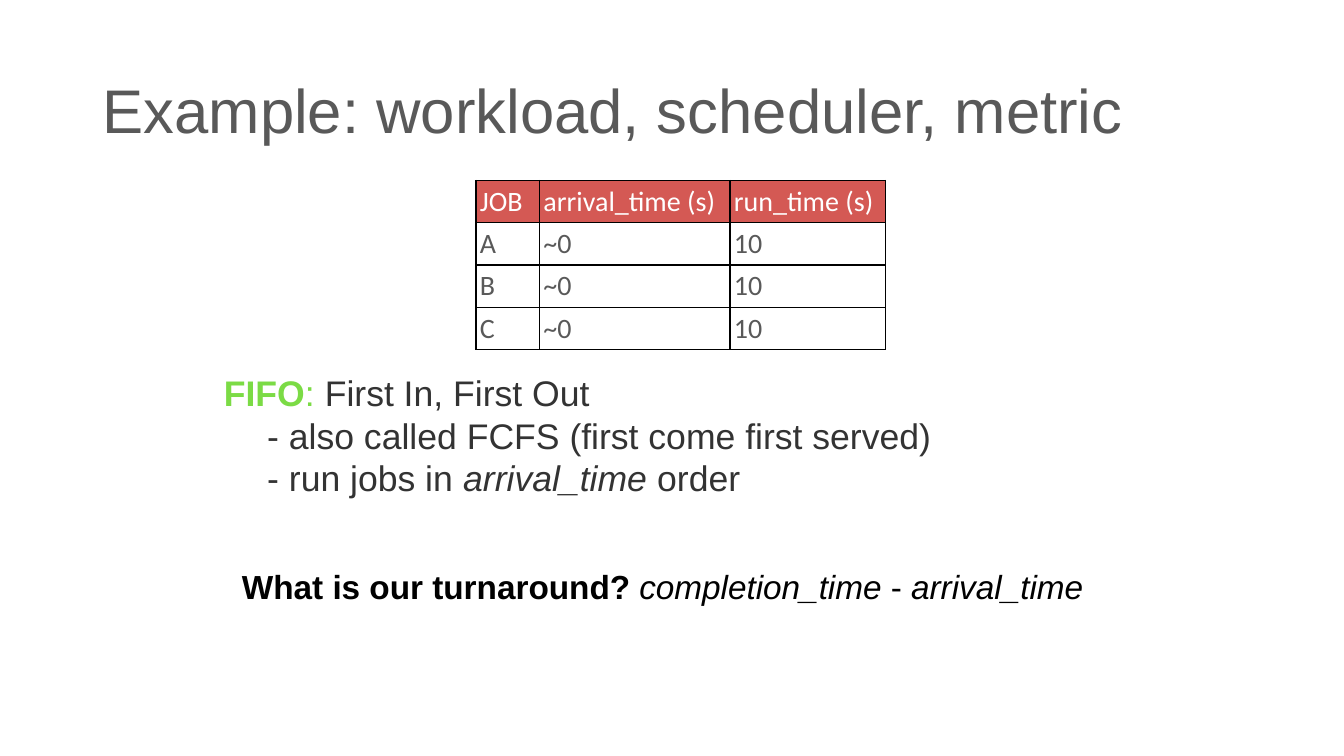
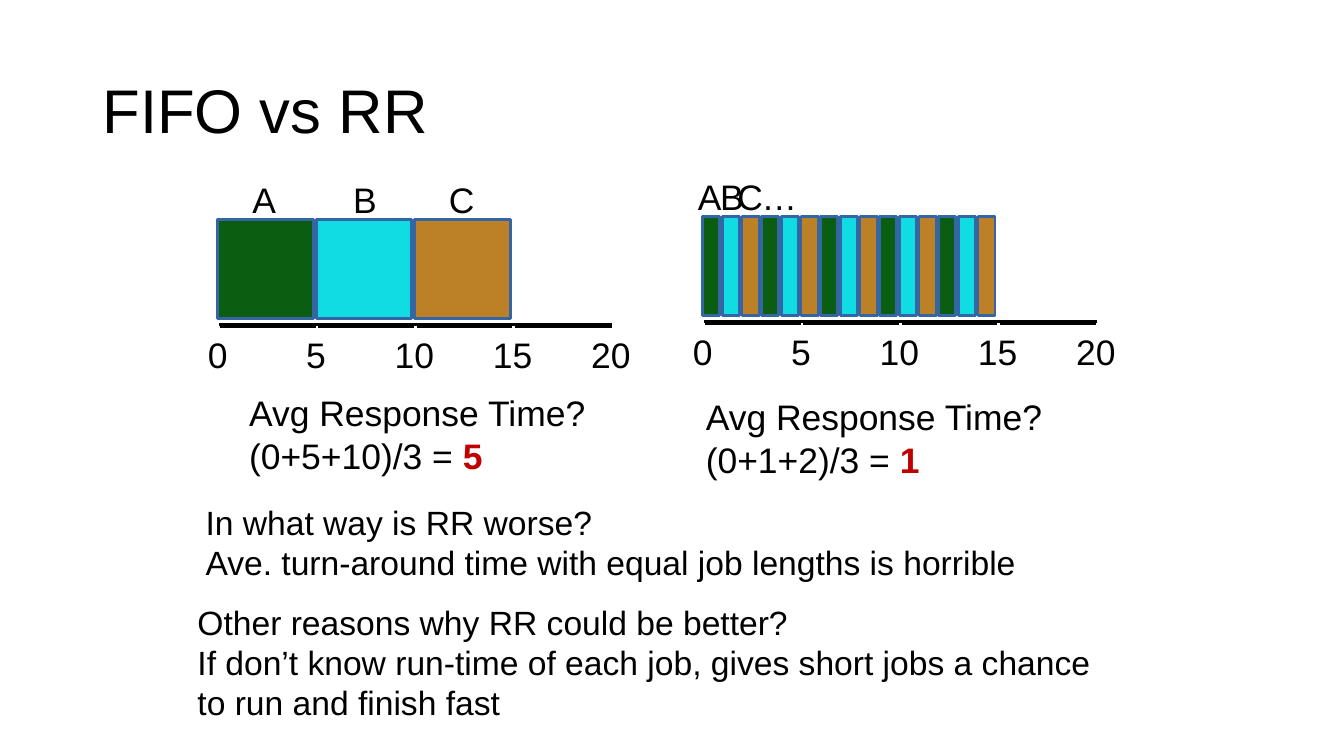
from dataclasses import dataclass

from lxml.etree import SubElement
from pptx import Presentation
from pptx.dml.color import RGBColor
from pptx.enum.shapes import MSO_CONNECTOR, MSO_SHAPE
from pptx.enum.text import MSO_ANCHOR, PP_ALIGN
from pptx.oxml.ns import qn
from pptx.slide import Slide
from pptx.util import Inches, Pt

HUES = {
    "black": "000000", "white": "FFFFFF", "grey": "595959", "dark": "333333",
    "lime": "7BDB45", "red": "C00000", "head": "D45954", "edge": "3465A4",
    "A": "0B5D12", "B": "11DBE3", "C": "BC8027",
}
FACE = "Arial"
LABEL = 25.3
STEP = 0.975
TIGHT = (0.04, 0.04)


@dataclass
class Run:
    text: str
    bold: bool = False
    slant: bool = False
    hue: str = ""


@dataclass
class Para:
    runs: list[Run]
    indent: float = 0


@dataclass
class Box:
    left: float
    top: float
    width: float
    height: float


@dataclass
class Chart:
    left: float
    top: float
    slots: int
    pitch: float
    ticks: int
    names: dict[str, float]


def rgb(hue: str) -> RGBColor:
    return RGBColor.from_string(HUES[hue])


def place(box: Box) -> tuple[int, int, int, int]:
    return Inches(box.left), Inches(box.top), Inches(box.width), Inches(box.height)


def plain(text: str) -> Para:
    return Para([Run(text)])


def write(slide: Slide, box: Box, paras: list[Para], size: float, hue: str = "black",
          inset: tuple[float, float] = (0.1, 0.05), middle: bool = False,
          center: bool = False, wrap: bool = True, space: float = 1) -> None:
    frame = slide.shapes.add_textbox(*place(box)).text_frame
    frame.word_wrap = wrap
    frame.margin_left = frame.margin_right = Inches(inset[0])
    frame.margin_top = frame.margin_bottom = Inches(inset[1])
    frame.vertical_anchor = MSO_ANCHOR.MIDDLE if middle else MSO_ANCHOR.TOP
    for spot, para in enumerate(paras):
        line = frame.add_paragraph() if spot else frame.paragraphs[0]
        line.alignment = PP_ALIGN.CENTER if center else PP_ALIGN.LEFT
        line.line_spacing = space
        if para.indent:
            line._p.get_or_add_pPr().set("marL", str(Inches(para.indent)))
        line.font.name = FACE
        line.font.size = Pt(size)
        line.font.color.rgb = rgb(hue)
        for part in para.runs:
            run = line.add_run()
            run.text = part.text
            if part.bold:
                run.font.bold = True
            if part.slant:
                run.font.italic = True
            if part.hue:
                run.font.color.rgb = rgb(part.hue)


def title(slide: Slide, text: str, hue: str) -> None:
    write(slide, Box(0.92, 0.4, 11.5, 1.45), [plain(text)], 44, hue,
          middle=True, space=0.9)


def label(slide: Slide, mid: float, top: float, text: str) -> None:
    write(slide, Box(mid - 0.3, top, 0.6, 0.5), [plain(text)], LABEL,
          inset=TIGHT, middle=True, center=True, wrap=False)


def rule(slide: Slide, x: float, y: float, wide: float, high: float,
         hue: str, weight: float) -> None:
    line = slide.shapes.add_connector(
        MSO_CONNECTOR.STRAIGHT, Inches(x), Inches(y), Inches(x + wide), Inches(y + high))
    line.line.color.rgb = rgb(hue)
    line.line.width = Pt(weight)
    SubElement(line._element.spPr, qn("a:effectLst"))


def draw(slide: Slide, chart: Chart) -> None:
    for slot in range(chart.slots):
        bar = slide.shapes.add_shape(MSO_SHAPE.RECTANGLE, *place(Box(
            chart.left + slot * chart.pitch, chart.top, chart.pitch - 0.025, 0.98)))
        bar.shadow.inherit = False
        bar.fill.solid()
        bar.fill.fore_color.rgb = rgb("ABC"[slot % 3])
        bar.line.color.rgb = rgb("edge")
        bar.line.width = Pt(2)
    axis = chart.top + 1.05
    rule(slide, chart.left + 0.01, axis, 4 * STEP, 0, "black", 4)
    for tick in range(5):
        x = chart.left + tick * STEP
        if tick < chart.ticks:
            rule(slide, x + 0.01, axis, 0, 0.08, "white", 2)
        label(slide, x, axis + 0.04, str(tick * 5))
    for name, shift in chart.names.items():
        label(slide, chart.left + shift, chart.top - 0.45, name)


def jobs(slide: Slide) -> None:
    rows = [("JOB", "arrival_time (s)", "run_time (s)")]
    rows += [(job, "~0", "10") for job in "ABC"]
    table = slide.shapes.add_table(4, 3, *place(Box(4.72, 1.79, 4.06, 1.68))).table
    for column, width in zip(table.columns, (0.63, 1.89, 1.54)):
        column.width = Inches(width)
    for i, row in enumerate(rows):
        table.rows[i].height = Inches(0.42)
        for j, text in enumerate(row):
            cell = table.cell(i, j)
            cell.text = text
            cell.vertical_anchor = MSO_ANCHOR.MIDDLE
            cell.margin_left = cell.margin_right = Inches(0.04)
            cell.margin_top = cell.margin_bottom = Inches(0.04)
            font = cell.text_frame.paragraphs[0].font
            font.name = "Calibri"
            font.size = Pt(20)
            font.bold = False
            font.color.rgb = rgb("grey" if i else "white")
            props = cell._tc.get_or_add_tcPr()
            for side in ("lnL", "lnR", "lnT", "lnB"):
                edge = SubElement(props, qn(f"a:{side}"), w=str(Pt(1)))
                fill = SubElement(edge, qn("a:solidFill"))
                SubElement(fill, qn("a:srgbClr"), val=HUES["black"])
            cell.fill.solid()
            cell.fill.fore_color.rgb = rgb("white" if i else "head")


def example(slide: Slide) -> None:
    title(slide, "Example: workload, scheduler, metric", "grey")
    jobs(slide)
    write(slide, Box(2.22, 3.68, 8.71, 1.8), [
        Para([Run("FIFO", bold=True, hue="lime"), Run(": ", hue="lime"),
              Run("First In, First Out")]),
        Para([Run("- also called FCFS (first come first served)")], 0.43),
        Para([Run("- run jobs in "), Run("arrival_time", slant=True),
              Run(" order")], 0.43),
    ], 25.4, "dark", inset=(0, 0))
    write(slide, Box(2.4, 5.62, 8.54, 0.58), [
        Para([Run("What is our turnaround? ", bold=True),
              Run("completion_time", slant=True), Run(" - "),
              Run("arrival_time", slant=True)]),
    ], 23.8, inset=(0, 0))


def versus(slide: Slide) -> None:
    title(slide, "FIFO vs RR", "black")
    draw(slide, Chart(2.16, 2.18, 3, STEP, 4, {"A": 0.46, "B": 1.46, "C": 2.42}))
    draw(slide, Chart(6.97, 2.15, 15, STEP / 5, 5,
                      {"A": 0.07, "B": 0.29, "C": 0.47, "…": 0.76}))
    for left, top, sums, mean in ((2.43, 3.84, "(0+5+10)/3 = ", "5"),
                                  (6.96, 3.88, "(0+1+2)/3 = ", "1")):
        write(slide, Box(left, top, 3.45, 0.93), [
            plain("Avg Response Time?"),
            Para([Run(sums), Run(mean, bold=True, hue="red")]),
        ], LABEL, inset=TIGHT, middle=True)
    write(slide, Box(1.86, 5.92, 9.21, 1.31), [
        plain("Other reasons why RR could be better?"),
        plain("If don’t know run-time of each job, gives short jobs a chance "
              "to run and finish fast"),
    ], 24)
    write(slide, Box(1.94, 4.93, 8.32, 0.91), [
        plain("In what way is RR worse?"),
        plain("Ave. turn-around time with equal job lengths is horrible"),
    ], 24)


def main() -> None:
    deck = Presentation()
    deck.slide_width = Inches(13.33)
    deck.slide_height = Inches(7.5)
    for build in (example, versus):
        build(deck.slides.add_slide(deck.slide_layouts[6]))
    deck.save("out.pptx")


if __name__ == "__main__":
    main()
